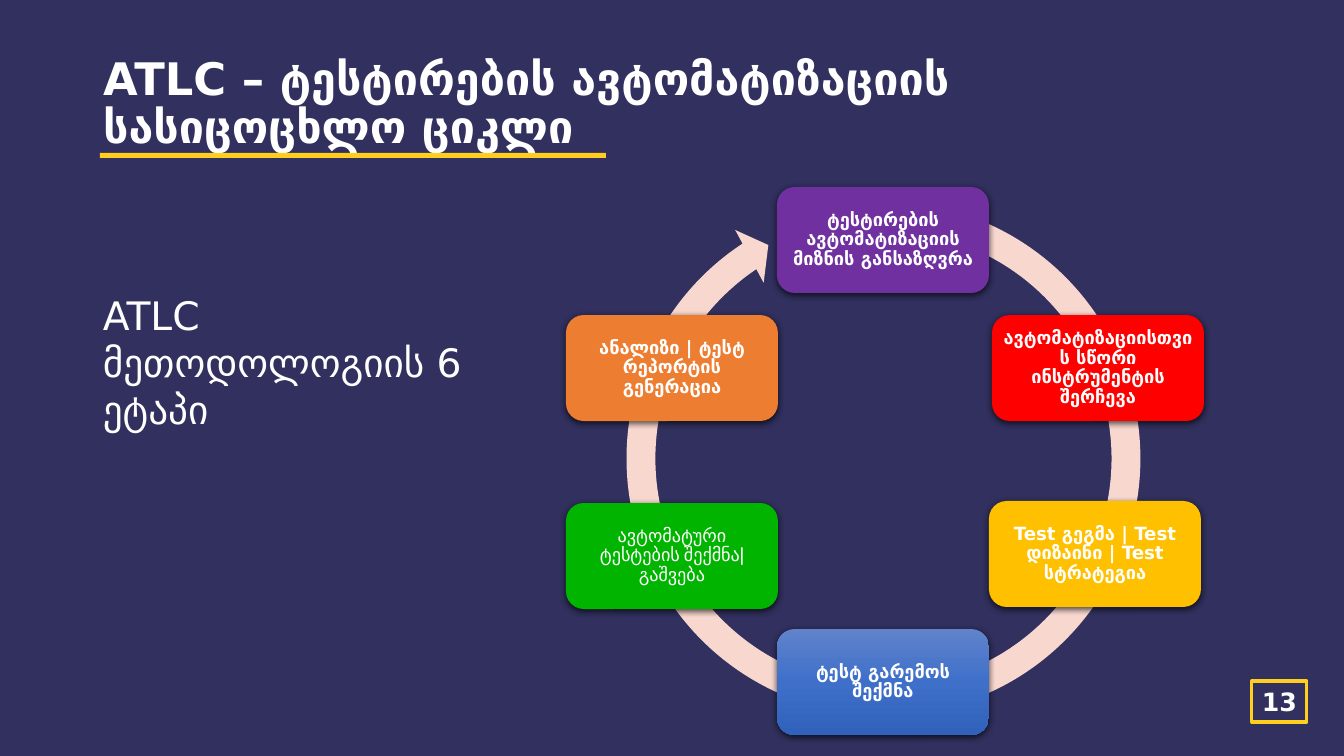
from copy import deepcopy

from lxml import etree
from pptx import Presentation
from pptx.dml.color import RGBColor
from pptx.enum.shapes import MSO_SHAPE
from pptx.enum.text import MSO_ANCHOR, MSO_AUTO_SIZE, PP_ALIGN
from pptx.oxml.ns import qn
from pptx.util import Pt

ROUNDED, RECT, CYCLE = MSO_SHAPE.ROUNDED_RECTANGLE, MSO_SHAPE.RECTANGLE, MSO_SHAPE.CIRCULAR_ARROW
LEFT, CENTER = PP_ALIGN.LEFT, PP_ALIGN.CENTER
TOP, MIDDLE = MSO_ANCHOR.TOP, MSO_ANCHOR.MIDDLE

SLIDE_W, SLIDE_H = 1344, 756
EMU_PER_PX = 12192000 / SLIDE_W
FONT, LIGHT_FONT = "DejaVu Sans", "Cabin"
COLORS = {
    "background": "31305E", "text": "FFFFFF", "accent": "FFCE1F",
    "cycle": "F8D7CE", "shadow": "000000", "purple": "7030A0",
    "red": "FF0000", "amber": "FFC000", "green": "00B400", "orange": "ED7D31",
    "blue_top": "6183CB", "blue_mid": "3E70CA", "blue_bottom": "3062BB",
}

TITLE = "ATLC – ტესტირების ავტომატიზაციის სასიცოცხლო ციკლი"
SUBTITLE = "ATLC მეთოდოლოგიის 6 ეტაპი"
PAGE_NUMBER = "13"
STAGE_SIZE = (212, 106)
STAGES = [
    ("ტესტირების ავტომატიზაციის მიზნის განსაზღვრა", (777, 187), ["purple"], FONT),
    ("ავტომატიზაციისთვის სწორი ინსტრუმენტის შერჩევა", (992, 315), ["red"], FONT),
    ("Test გეგმა | Test დიზაინი | Test სტრატეგია", (989, 501), ["amber"], FONT),
    ("ტესტ გარემოს შექმნა", (777, 629), ["blue_top", "blue_mid", "blue_bottom"], FONT),
    ("ავტომატური ტესტების შექმნა| გაშვება", (566, 503), ["green"], LIGHT_FONT),
    ("ანალიზი | ტესტ რეპორტის გენერაცია", (566, 315), ["orange"], FONT),
]
CYCLE_ADJUSTMENTS = (0.053, 3.126, 141.869, 171.512, 0.055)


def px(value):
    return round(value * EMU_PER_PX)


def box(*lengths):
    return [px(length) for length in lengths]


def rgb(name):
    return RGBColor.from_string(COLORS[name])


def paint(shape, names):
    if len(names) == 1:
        shape.fill.solid()
        shape.fill.fore_color.rgb = rgb(names[0])
        return
    shape.fill.gradient()
    shape.fill.gradient_angle = 270
    stop_list = shape._element.spPr.find(qn("a:gradFill")).find(qn("a:gsLst"))
    while len(stop_list) < len(names):
        stop_list.append(deepcopy(stop_list[0]))
    for i, (stop, name) in enumerate(zip(shape.fill.gradient_stops, names)):
        stop.position = i / (len(names) - 1)
        stop.color.rgb = rgb(name)


def add_shape(slide, kind, place, names=()):
    shape = slide.shapes.add_shape(kind, *box(*place))
    shape.shadow.inherit = False
    shape.line.fill.background()
    if names:
        paint(shape, names)
    else:
        shape.fill.background()
    return shape


def add_shadow(shape):
    effects = shape._element.spPr.find(qn("a:effectLst"))
    shadow = etree.SubElement(effects, qn("a:outerShdw"), blurRad=str(Pt(4.5)),
                              dist=str(Pt(1.5)), dir="5400000", algn="ctr", rotWithShape="0")
    color = etree.SubElement(shadow, qn("a:srgbClr"), val=COLORS["shadow"])
    etree.SubElement(color, qn("a:alpha"), val="63000")


def write(shape, text, size, bold, align, anchor, spacing=1.0, font=FONT, wrap=True, inset=None):
    frame = shape.text_frame
    frame.text = text
    frame.auto_size = MSO_AUTO_SIZE.NONE
    frame.word_wrap = wrap
    frame.vertical_anchor = anchor
    if inset is not None:
        frame.margin_left = frame.margin_right = px(inset)
        frame.margin_top = frame.margin_bottom = px(inset)
    paragraph = frame.paragraphs[0]
    paragraph.alignment = align
    paragraph.line_spacing = spacing
    paragraph.font.name = font
    paragraph.font.size = Pt(size)
    paragraph.font.bold = bold
    paragraph.font.color.rgb = rgb("text")


def main():
    deck = Presentation()
    deck.slide_width, deck.slide_height = box(SLIDE_W, SLIDE_H)
    slide = deck.slides.add_slide(deck.slide_layouts[5])
    slide.background.fill.solid()
    slide.background.fill.fore_color.rgb = rgb("background")

    title = slide.shapes.title
    title.left, title.top, title.width, title.height = box(93, 32, 1159, 146)
    write(title, TITLE, 32, True, LEFT, MIDDLE, spacing=0.9)

    cycle = add_shape(slide, CYCLE, (611, 186, 545, 545), ["cycle"])
    for i, value in enumerate(CYCLE_ADJUSTMENTS):
        cycle.adjustments[i] = value

    for text, corner, names, font in STAGES:
        stage = add_shape(slide, ROUNDED, corner + STAGE_SIZE, names)
        add_shadow(stage)
        write(stage, text, 13, font == FONT, CENTER, MIDDLE, spacing=0.9, font=font, inset=5)

    subtitle = slide.shapes.add_textbox(*box(93, 286, 422, 105))
    write(subtitle, SUBTITLE, 28, False, LEFT, TOP)

    page = add_shape(slide, RECT, (1252, 681, 55, 41))
    page.line.color.rgb = rgb("accent")
    page.line.width = Pt(2.25)
    write(page, PAGE_NUMBER, 18, True, CENTER, MIDDLE, wrap=False, inset=5)

    add_shape(slide, RECT, (100, 153, 506, 5), ["accent"])
    deck.save("out.pptx")


if __name__ == "__main__":
    main()
